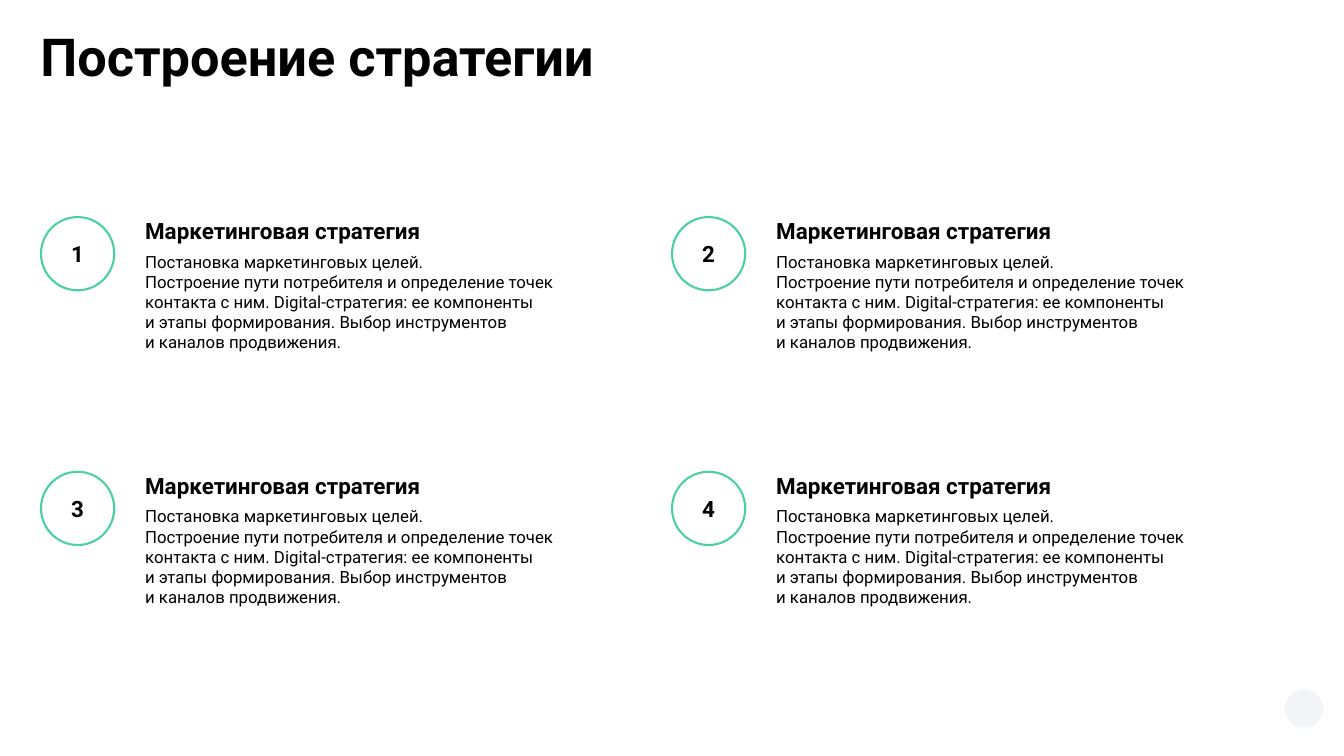
from pptx import Presentation
from pptx.dml.color import RGBColor
from pptx.enum import shapes, text
from pptx.util import Inches, Pt

FONT = "Roboto"
COLORS = {"ink": "000000", "ring": "4BD0A0", "mark": "F3F4F7", "back": "FFFFFF"}
HEAD = "Маркетинговая стратегия"
LINES = [
    "Постановка маркетинговых целей.",
    "Построение пути потребителя и определение точек",
    "контакта с ним. Digital-стратегия: ее компоненты",
    "и этапы формирования. Выбор инструментов",
    "и каналов продвижения.",
]
CARDS = [("1", HEAD, LINES), ("2", HEAD, LINES), ("3", HEAD, LINES), ("4", HEAD, LINES)]


def color(name):
    return RGBColor.from_string(COLORS[name])


def add_run(para, words, size, bold=False):
    run = para.add_run()
    run.text = words
    font = run.font
    font.name, font.size, font.bold = FONT, Pt(size), bold
    font.color.rgb = color("ink")


def set_frame(frame, left=0, top=0, right=0, bottom=0, anchor=text.MSO_ANCHOR.TOP):
    frame.word_wrap = True
    frame.auto_size = text.MSO_AUTO_SIZE.NONE
    frame.vertical_anchor = anchor
    frame.margin_left, frame.margin_top = Inches(left), Inches(top)
    frame.margin_right, frame.margin_bottom = Inches(right), Inches(bottom)


def add_oval(slide, x, y, size):
    oval = slide.shapes.add_shape(
        shapes.MSO_SHAPE.OVAL, Inches(x), Inches(y), Inches(size), Inches(size))
    oval.shadow.inherit = False
    return oval


def add_title(slide, x, y, w, h, words):
    title = slide.shapes.title
    title.left, title.top = Inches(x), Inches(y)
    title.width, title.height = Inches(w), Inches(h)
    set_frame(title.text_frame)
    para = title.text_frame.paragraphs[0]
    para.alignment = text.PP_ALIGN.LEFT
    para.line_spacing = 0.8
    add_run(para, words, 56, True)


def add_card(slide, x, y, w, h, card):
    num, head, lines = card
    inset = 1.55

    # Heading and description
    box = slide.shapes.add_textbox(
        Inches(x + inset), Inches(y), Inches(w - inset), Inches(h))
    frame = box.text_frame
    set_frame(frame, right=0.1, bottom=0.1)
    add_run(frame.paragraphs[0], head, 24, True)
    para = frame.add_paragraph()
    para.space_before = Pt(8)
    for i, line in enumerate(lines):
        if i:
            para.add_line_break()
        add_run(para, line, 18)

    # Numbered ring
    ring = add_oval(slide, x, y, 1.09)
    ring.fill.background()
    ring.line.color.rgb = color("ring")
    ring.line.width = Pt(2.25)
    set_frame(ring.text_frame, 0.1, 0.1, 0.1, 0.1, text.MSO_ANCHOR.MIDDLE)
    para = ring.text_frame.paragraphs[0]
    para.alignment = text.PP_ALIGN.CENTER
    add_run(para, num, 24, True)


def add_mark(slide, x, y, size):
    mark = add_oval(slide, x, y, size)
    mark.fill.solid()
    mark.fill.fore_color.rgb = color("mark")
    mark.line.fill.background()


def main():
    deck = Presentation()
    deck.slide_width, deck.slide_height = Inches(20), Inches(11.25)
    slide = deck.slides.add_slide(deck.slide_layouts[5])
    slide.background.fill.solid()
    slide.background.fill.fore_color.rgb = color("back")

    # Corner mark and title
    add_mark(slide, 19.12, 10.26, 0.57)
    add_title(slide, 0.6, 0.54, 15.63, 1.62, "Построение стратегии")

    # Two by two grid of cards
    for i, card in enumerate(CARDS):
        row, col = divmod(i, 2)
        add_card(slide, 0.61 + col * 9.39, 3.23 + row * 3.79, 7.8, 2.98, card)

    deck.save("out.pptx")


if __name__ == "__main__":
    main()
